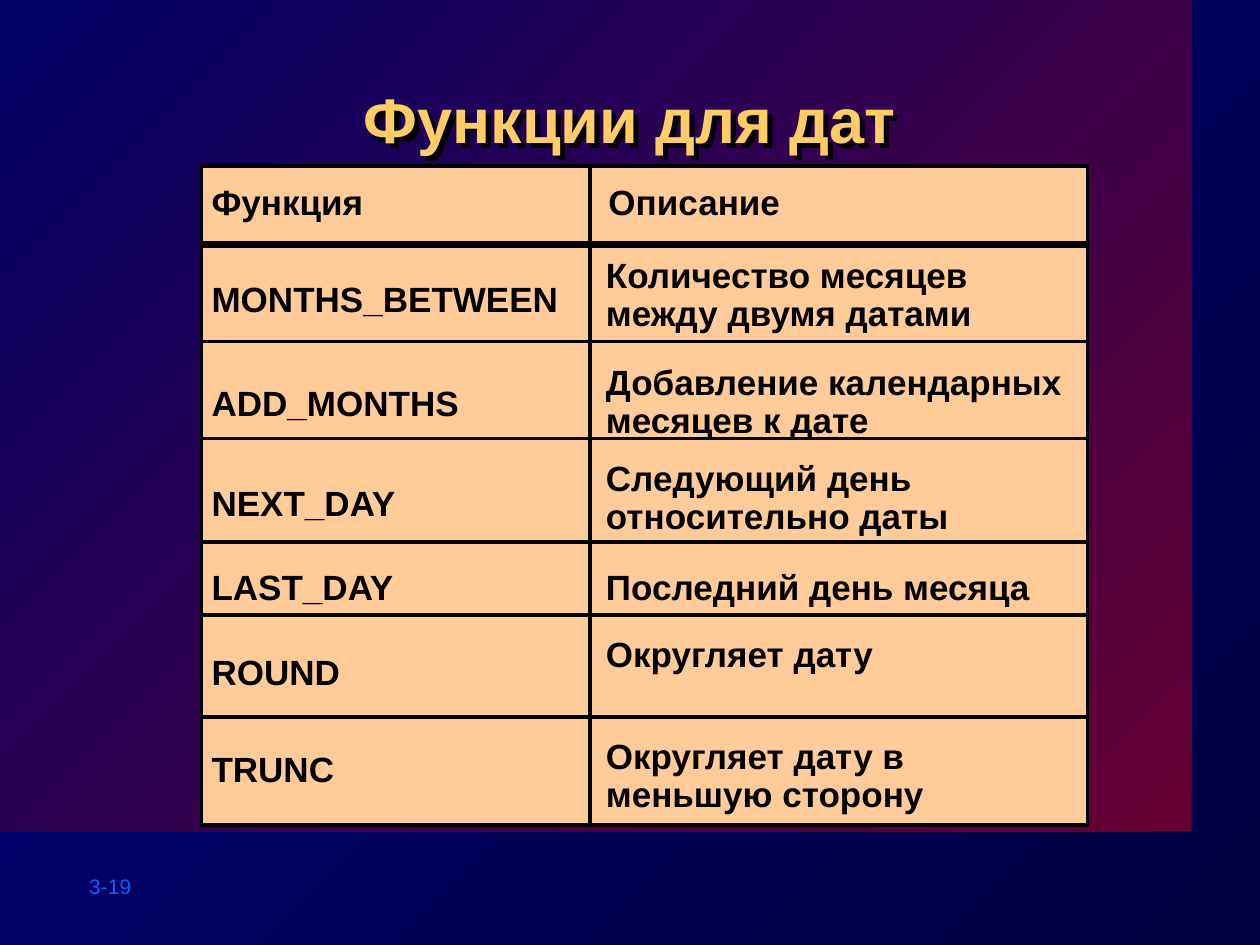
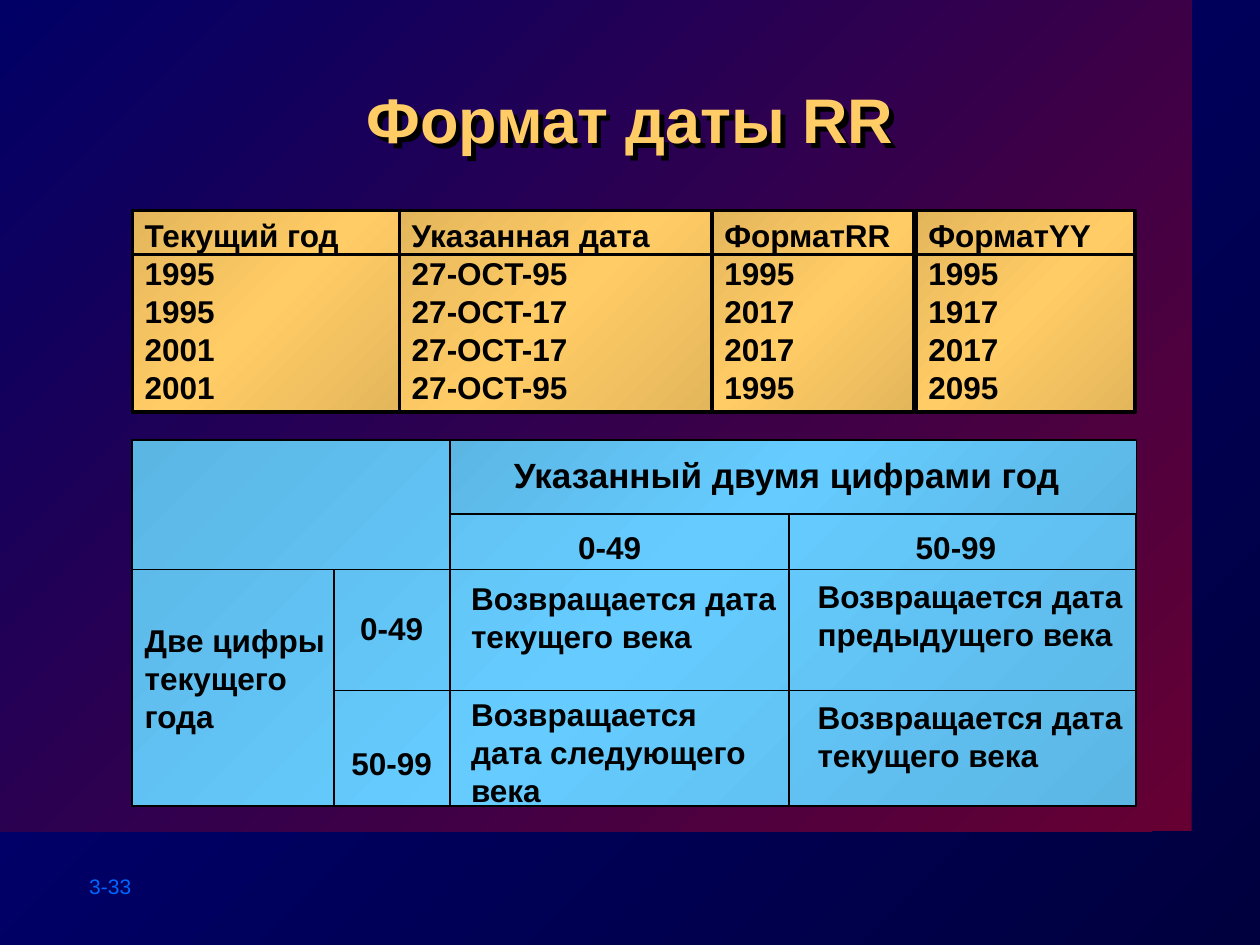
from copy import deepcopy
from dataclasses import dataclass

from lxml.etree import SubElement
from pptx import Presentation
from pptx.dml.color import RGBColor
from pptx.enum.shapes import MSO_CONNECTOR, MSO_SHAPE
from pptx.enum.text import MSO_ANCHOR, PP_ALIGN
from pptx.oxml.ns import qn
from pptx.util import Pt


@dataclass(frozen=True)
class Theme:
    font: str = "Arial"
    ink: str = "000000"
    title: str = "FFCC66"
    number: str = "0066FF"
    peach: str = "FFCC99"
    background: tuple = ("00003F", "000080")
    panel: tuple = ("660033", "000066")
    gold: tuple = ("E4B65B", "FFCC66", "E4B65B")
    blue: tuple = ("5BB6E4", "66CCFF", "5BB6E4")
    title_size: int = 36
    large_size: int = 20
    body_size: int = 18
    number_size: int = 12


THEME = Theme()
SLIDE_SIZE = (720, 540)
PANEL_BOX = (0, 0, 681, 475)
TITLE_BOX = (72.7, 40.3, 574.6, 69.1)
NUMBER_BOX = (43.9, 495.4, 79.9, 21.6)

FUNCTIONS = [
    ("MONTHS_BETWEEN", 62.7, "Количество месяцев между двумя датами", 49, 100.1),
    ("ADD_MONTHS", 122.4, "Добавление календарных месяцев к дате", 110.2, 155.6),
    ("NEXT_DAY", 179.3, "Следующий день относительно даты", 164.9, 214.6),
    ("LAST_DAY", 227.6, "Последний день месяца", 227.6, 256.4),
    ("ROUND", 275.8, "Округляет дату", 265.7, 314.7),
    ("TRUNC", 331.2, "Округляет дату в меньшую сторону", 324, None),
]

YEAR_COLUMNS = [
    (0, 152.6, ["Текущий год", "1995", "1995", "2001", "2001"]),
    (152.6, 178.6, ["Указанная дата", "27-OCT-95", "27-OCT-17", "27-OCT-17", "27-OCT-95"]),
    (331.2, 115.2, ["ФорматRR", "1995", "2017", "2017", "1995"]),
    (447.8, 125.3, ["ФорматYY", "1995", "1917", "2017", "2095"]),
]

CENTURY_TEXTS = [
    ("Две цифры текущего года", 0, 100.1, 123.1, 72),
    ("0-49", 123.1, 92.9, 53.3, 28.8),
    ("0-49", 247.7, 46.8, 53.3, 28.8),
    ("50-99", 440.6, 46.8, 63.4, 28.8),
    ("50-99", 118.1, 170.6, 63.4, 28.8),
    ("Возвращается дата текущего века", 186.5, 76.3, 193.7, 50.4),
    ("Возвращается дата следующего века", 186.5, 142.5, 186.5, 72),
    ("Возвращается дата предыдущего века", 384.5, 74.9, 193.7, 50.4),
    ("Возвращается дата текущего века", 384.5, 144, 193.7, 50.4),
]


def points(*values):
    return [Pt(value) for value in values]


def apply_format(target, values):
    for name, value in values.items():
        setattr(target, name, value)


def paint(fill, colours):
    if isinstance(colours, str):
        fill.solid()
        fill.fore_color.rgb = RGBColor.from_string(colours)
        return
    fill.gradient()
    fill.gradient_angle = 135
    first = fill.gradient_stops[0]._gs
    for _ in colours[2:]:
        first.addnext(deepcopy(first))
    for index, (stop, colour) in enumerate(zip(fill.gradient_stops, colours)):
        stop.position = index / (len(colours) - 1)
        stop.color.rgb = RGBColor.from_string(colour)


def write(shape, lines, size, colour=THEME.ink, bold=True, wrap=True, paragraph_format=None):
    frame = shape.text_frame
    apply_format(frame, {"word_wrap": wrap, "vertical_anchor": MSO_ANCHOR.TOP})
    frame.text = "\n".join(lines)
    for paragraph in frame.paragraphs:
        apply_format(paragraph, {"alignment": PP_ALIGN.LEFT, **(paragraph_format or {})})
        font = paragraph.runs[0].font
        apply_format(font, {"name": THEME.font, "size": Pt(size), "bold": bold})
        font.color.rgb = RGBColor.from_string(colour)


def add_text(slide, box, text, size, **options):
    shape = slide.shapes.add_textbox(*points(*box))
    write(shape, [text], size, **options)
    return shape


def add_box(slide, box, colours, line_width=None):
    shape = slide.shapes.add_shape(MSO_SHAPE.RECTANGLE, *points(*box))
    shape.shadow.inherit = False
    paint(shape.fill, colours)
    if line_width:
        shape.line.color.rgb = RGBColor.from_string(THEME.ink)
        shape.line.width = Pt(line_width)
    else:
        shape.line.fill.background()
    return shape


def add_rule(slide, start, end, width):
    rule = slide.shapes.add_connector(MSO_CONNECTOR.STRAIGHT, *points(*start, *end))
    rule.line.color.rgb = RGBColor.from_string(THEME.ink)
    rule.line.width = Pt(width)
    SubElement(rule._element.spPr, qn("a:effectLst"))


def add_title(slide, box, text):
    title = add_text(slide, box, text, THEME.title_size, colour=THEME.title,
                     paragraph_format={"alignment": PP_ALIGN.CENTER})
    title.text_frame.margin_top = Pt(5.5)
    effects = SubElement(title._element.spPr, qn("a:effectLst"))
    shadow = SubElement(effects, qn("a:outerShdw"), dist=str(Pt(4)), dir="2700000")
    SubElement(shadow, qn("a:srgbClr"), val=THEME.ink)


def add_slide(presentation, title, number):
    slide = presentation.slides.add_slide(presentation.slide_layouts[6])
    paint(slide.background.fill, THEME.background)
    add_box(slide, PANEL_BOX, THEME.panel)
    add_text(slide, NUMBER_BOX, number, THEME.number_size,
             colour=THEME.number, bold=False, wrap=False)
    add_title(slide, TITLE_BOX, title)
    return slide


def add_function_grid(slide, box):
    left, top, width, height = box
    name_width = 221.8
    description_left = left + name_width
    add_box(slide, (left, top, name_width, height), THEME.peach, 2)
    add_box(slide, (description_left, top, width - name_width, height), THEME.peach, 2)

    def add_entry(text, entry_left, offset, entry_height=28.8):
        add_text(slide, (entry_left, top + offset, 285, entry_height), text,
                 THEME.large_size, paragraph_format={"line_spacing": 0.9})

    def add_divider(offset, line_width):
        add_rule(slide, (left + 0.7, top + offset), (left + width, top + offset), line_width)

    add_entry("Функция", left - 1.4, 7.2)
    add_entry("Описание", description_left + 3.6, 7.2)
    add_divider(44.7, 4)
    for name, name_top, description, description_top, bottom in FUNCTIONS:
        add_entry(name, left - 1.4, name_top)
        add_entry(description, description_left + 2.2, description_top,
                  50.4 if len(description) > 22 else 28.8)
        if bottom:
            add_divider(bottom, 2)


def add_year_grid(slide, box):
    left, top, width, height = box
    for offset, column_width, lines in YEAR_COLUMNS:
        column = add_box(slide, (left + offset, top, column_width, height), THEME.gold, 2)
        write(column, lines, THEME.body_size)
    add_rule(slide, (left - 0.7, top + 25.2), (left + width, top + 25.2), 2)


def add_century_grid(slide, box):
    left, top, width, height = box
    current_split, given_split, given_middle = 115.2, 181.4, 375.1
    header_bottom, body_top, body_middle = 42.5, 74.1, 143.3

    def add_line(x_start, y_start, x_end, y_end):
        add_rule(slide, (left + x_start, top + y_start), (left + x_end, top + y_end), 1)

    add_box(slide, box, THEME.blue, 1)
    add_line(0, body_top, width, body_top)
    add_line(current_split, body_top, current_split, height)
    add_line(given_middle, header_bottom, given_middle, height)
    for text, text_left, text_top, text_width, text_height in CENTURY_TEXTS:
        add_text(slide, (left + text_left, top + text_top, text_width, text_height),
                 text, THEME.body_size)
    add_box(slide, (left + given_split, top, width - given_split, header_bottom), THEME.blue, 1)
    add_text(slide, (left + 211, top + 4.3, 362.2, 31),
             "Указанный двумя цифрами год", THEME.large_size)
    add_line(given_split, header_bottom, given_split, height)
    add_line(current_split, body_middle, width, body_middle)


def main():
    presentation = Presentation()
    presentation.slide_width, presentation.slide_height = points(*SLIDE_SIZE)
    functions_slide = add_slide(presentation, "Функции для дат", "3-19")
    add_function_grid(functions_slide, (115.2, 95, 506.2, 376.6))
    format_slide = add_slide(presentation, "Формат даты RR", "3-33")
    add_year_grid(format_slide, (75.6, 120.2, 573.8, 115.2))
    add_century_grid(format_slide, (75.6, 251.3, 573.8, 209.5))
    presentation.save("out.pptx")


if __name__ == "__main__":
    main()
